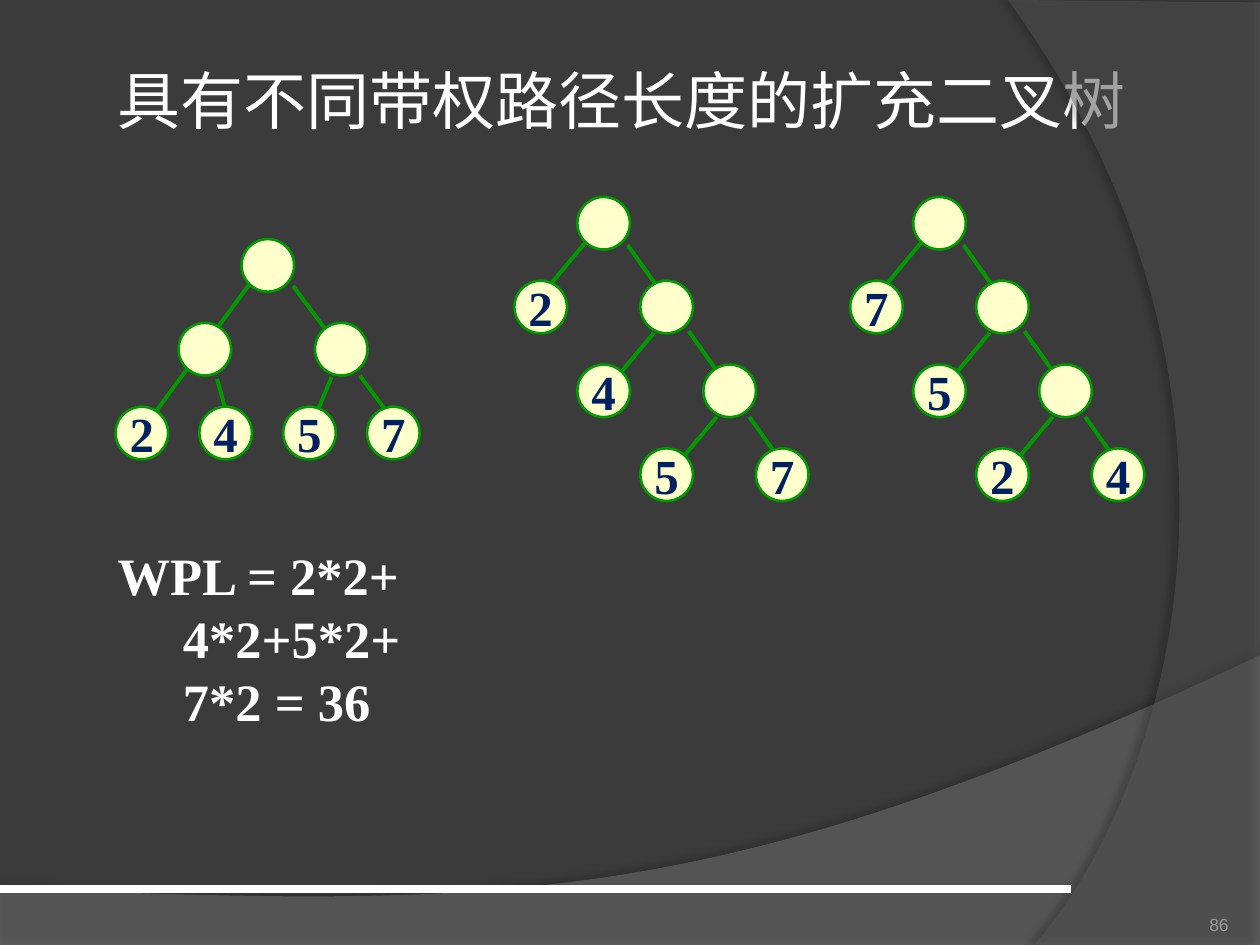
from lxml import etree
from pptx import Presentation
from pptx.dml.color import RGBColor
from pptx.enum.shapes import MSO_CONNECTOR, MSO_SHAPE
from pptx.enum.text import MSO_ANCHOR, MSO_AUTO_SIZE, PP_ALIGN
from pptx.oxml.ns import qn
from pptx.util import Cm, Pt

STRAIGHT = MSO_CONNECTOR.STRAIGHT
OVAL = MSO_SHAPE.OVAL
TOP, MIDDLE, BOTTOM = MSO_ANCHOR.TOP, MSO_ANCHOR.MIDDLE, MSO_ANCHOR.BOTTOM
LEFT, CENTER, RIGHT = PP_ALIGN.LEFT, PP_ALIGN.CENTER, PP_ALIGN.RIGHT
NO_AUTOFIT = MSO_AUTO_SIZE.NONE

BACKGROUND, WHITE, GREEN = "3B3B3B", "FFFFFF", "009900"
SERIF = "Times New Roman"
NODE_SIZE = 1.06
STEP_X, STEP_Y = 1.27, 1.69


def rgb(value):
    return RGBColor.from_string(value)


def add_shadow(shape, color, alpha, blur, distance, angle):
    """Blur and distance are in points, alpha in percent, angle in degrees."""
    properties = shape._element.spPr
    for old in properties.findall(qn("a:effectLst")):
        properties.remove(old)
    effects = etree.SubElement(properties, qn("a:effectLst"))
    shadow = etree.SubElement(
        effects, qn("a:outerShdw"), blurRad=str(Pt(blur)),
        dist=str(Pt(distance)), dir=str(angle * 60000), rotWithShape="0")
    add_alpha(etree.SubElement(shadow, qn("a:srgbClr"), val=color), alpha)


def add_alpha(color_element, percent):
    etree.SubElement(color_element, qn("a:alpha"), val=str(percent * 1000))


def curve_points(start, control_1, control_2, end, count=60):
    """Points along a cubic Bezier curve."""
    points = []
    for i in range(count + 1):
        t = i / count
        weights = ((1 - t) ** 3, 3 * t * (1 - t) ** 2, 3 * t * t * (1 - t), t ** 3)
        points.append(tuple(
            sum(weight * value for weight, value in zip(weights, values))
            for values in zip(start, control_1, control_2, end)))
    return points


def add_wave(slide, points, color, alpha, shadow):
    emu_points = [(Cm(x), Cm(y)) for x, y in points]
    builder = slide.shapes.build_freeform(*emu_points[0])
    builder.add_line_segments(emu_points[1:], close=True)
    wave = builder.convert_to_shape()
    wave.fill.solid()
    wave.fill.fore_color.rgb = rgb(color)
    add_alpha(wave._element.spPr.find(f"{qn('a:solidFill')}/{qn('a:srgbClr')}"), alpha)
    wave.line.fill.background()
    add_shadow(wave, *shadow)


def add_line(slide, x1, y1, x2, y2, color=GREEN, width=2.25):
    line = slide.shapes.add_connector(STRAIGHT, Cm(x1), Cm(y1), Cm(x2), Cm(y2))
    line.line.color.rgb = rgb(color)
    line.line.width = Pt(width)
    etree.SubElement(line._element.spPr, qn("a:effectLst"))


def set_text(shape, lines, size, color, font=SERIF, bold=False, align=LEFT,
             anchor=TOP, wrap=True):
    frame = shape.text_frame
    frame.auto_size = NO_AUTOFIT
    frame.word_wrap = wrap
    frame.vertical_anchor = anchor
    frame.text = "\n".join(lines)
    for paragraph in frame.paragraphs:
        paragraph.alignment = align
        paragraph.font.name = font
        paragraph.font.size = Pt(size)
        paragraph.font.bold = bold
        paragraph.font.color.rgb = rgb(color)
    return frame


def clear_margins(frame):
    frame.margin_left = frame.margin_right = 0
    frame.margin_top = frame.margin_bottom = 0


def add_text_box(slide, left, top, width, height, lines, size, color, **style):
    box = slide.shapes.add_textbox(Cm(left), Cm(top), Cm(width), Cm(height))
    return set_text(box, lines, size, color, **style)


def add_node(slide, x, y, weight=""):
    """A tree node centred on (x, y); leaves carry a weight."""
    node = slide.shapes.add_shape(
        OVAL, Cm(x - NODE_SIZE / 2), Cm(y - NODE_SIZE / 2),
        Cm(NODE_SIZE), Cm(NODE_SIZE))
    node.fill.solid()
    node.fill.fore_color.rgb = rgb("FFFFCC")
    node.line.color.rgb = rgb(GREEN)
    node.line.width = Pt(1.5)
    add_shadow(node, BACKGROUND, 100, 0, 2.8, 45)
    if weight:
        clear_margins(set_text(node, [weight], 28, "002060", bold=True,
                               align=CENTER, anchor=MIDDLE, wrap=False))


def add_balanced_tree(slide, weights):
    for edge in ((5.51, 5.23, 8.05, 8.64), (6.78, 7.37, 6.35, 8.41),
                 (4.24, 7.14, 4.65, 8.64), (5.08, 5.66, 2.74, 8.84)):
        add_line(slide, *edge)
    for x, y in ((5.4, 5.35), (4.13, 7.04), (6.88, 7.04)):
        add_node(slide, x, y)
    for i, weight in enumerate(weights):
        add_node(slide, 2.86 + 1.69 * i, 8.73, weight)


def add_skewed_tree(slide, root_x, root_y, weights):
    """A right-leaning tree: one leaf per level, two on the last."""
    for level, start_x in enumerate((-0.32, 1.17, 2.44)):
        x, y = root_x + start_x, root_y + 0.33 + STEP_Y * level
        add_line(slide, x, y, x - 1.06, y + STEP_X)
    add_line(slide, root_x + 0.1, root_y - 0.1, root_x + 3.7, root_y + 4.98)
    for level in range(3):
        x, y = root_x + STEP_X * level, root_y + STEP_Y * level
        add_node(slide, x, y)
        add_node(slide, x - STEP_X, y + STEP_Y, weights[level])
    add_node(slide, x + 1.06, y + STEP_Y, weights[3])


def add_backdrop(slide):
    slide.background.fill.solid()
    slide.background.fill.fore_color.rgb = rgb(BACKGROUND)
    lower_edge = curve_points((25.4, 13.21), (14.2, 18.52), (9.93, 18.26), (0, 17.91))
    add_wave(slide, [(0, 19.05), (25.4, 19.05)] + lower_edge,
             "7F7F7F", 45, ("000000", 35, 4, 3.5, 270))
    right_edge = curve_points((20.85, 19.05), (23.75, 15.72), (25.86, 7.62), (20.32, 0))
    add_wave(slide, [(25.4, 0.05), (25.4, 19.05)] + right_edge,
             "5E5E5E", 40, ("000000", 45, 4, 4, 180))
    add_line(slide, 0, 17.93, 21.59, 17.93, WHITE, 4.5)


def add_title(slide, text):
    title = slide.shapes.title
    title.left, title.top, title.width, title.height = Cm(2.12), Cm(1.12), Cm(21.17), Cm(1.78)
    set_text(title, [text], 36, WHITE, anchor=MIDDLE)


def add_path_length(slide):
    frame = add_text_box(slide, 2.12, 10.82, 8.38, 4.11,
                         ["WPL = 2*2+", "4*2+5*2+", "7*2 = 36"], 30, WHITE, bold=True)
    for paragraph in frame.paragraphs:
        paragraph.line_spacing = Pt(36)
    for paragraph in frame.paragraphs[1:]:
        paragraph._p.get_or_add_pPr().set("marL", str(Cm(1.32)))


def main():
    presentation = Presentation()
    presentation.slide_width, presentation.slide_height = Cm(25.4), Cm(19.05)
    slide = presentation.slides.add_slide(presentation.slide_layouts[5])
    add_backdrop(slide)
    add_title(slide, "具有不同带权路径长度的扩充二叉树")
    add_balanced_tree(slide, "2457")
    add_skewed_tree(slide, 12.17, 4.5, "2457")
    add_skewed_tree(slide, 18.94, 4.5, "7524")
    add_path_length(slide)
    clear_margins(add_text_box(slide, 22.66, 17.83, 2.11, 1.02, ["86"], 10, "9D9B9A",
                               font="Arial", align=RIGHT, anchor=BOTTOM))
    presentation.save("out.pptx")


if __name__ == "__main__":
    main()
